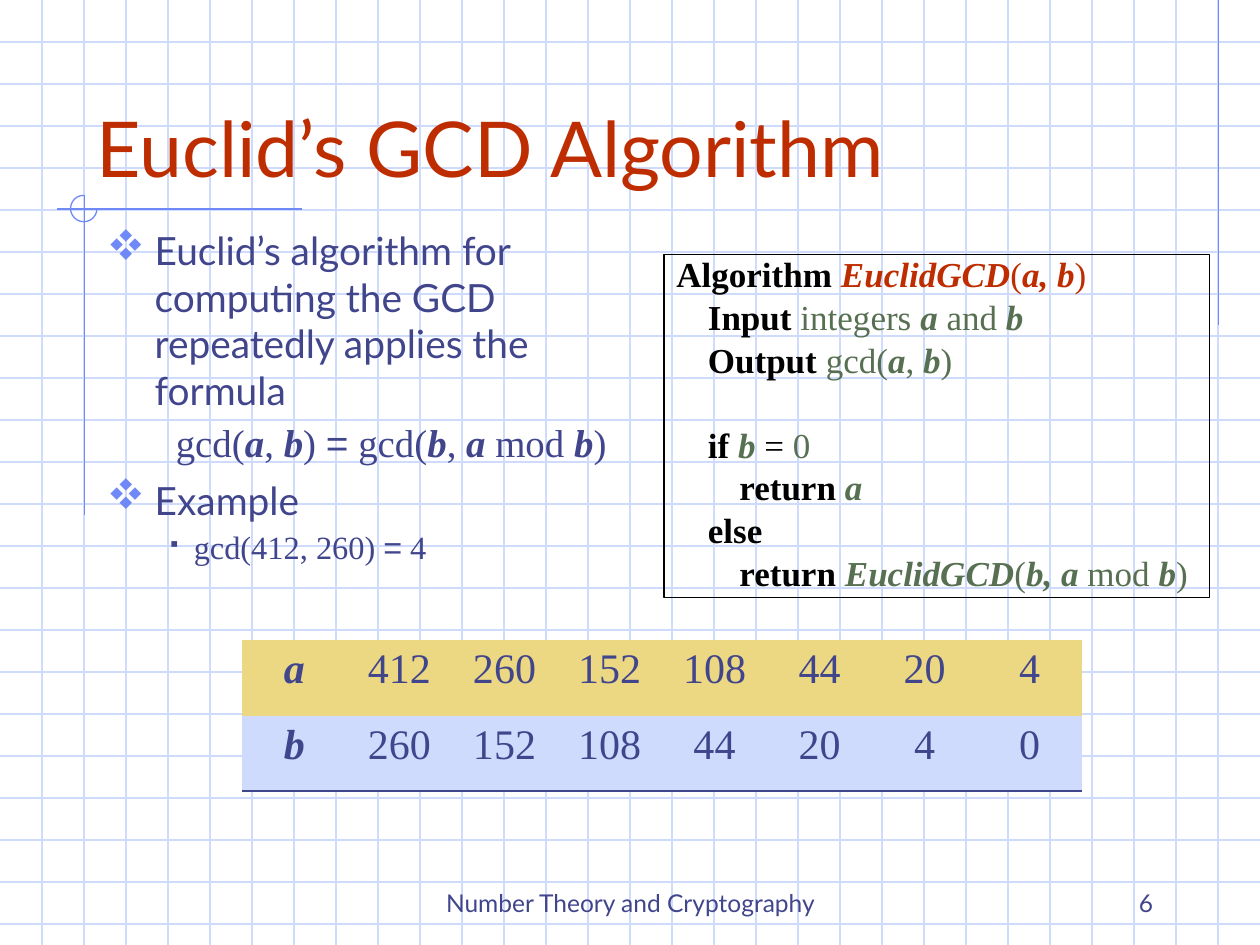
from lxml import etree
from pptx import Presentation
from pptx.dml.color import RGBColor
from pptx.enum import shapes, text
from pptx.oxml import ns
from pptx.util import Inches, Pt

RED = RGBColor(0xBE, 0x2D, 0x00)
NAVY = RGBColor(0x40, 0x45, 0x8C)
BLUE = RGBColor(0x6F, 0x89, 0xF7)
PALE = RGBColor(0xCF, 0xDB, 0xFD)
GOLD = RGBColor(0xEC, 0xD8, 0x82)
GREEN = RGBColor(0x57, 0x70, 0x52)
BLACK = RGBColor(0x00, 0x00, 0x00)

SANS, SERIF, SYMBOLS = "Lato", "Times New Roman", "Wingdings"
DIAMOND, SQUARE = "v", "§"
WIDTH, HEIGHT, GRID = 10, 7.5, 1 / 3
NO_TABLE_STYLE = "{2D5ABB26-0587-4C30-8999-92F81FD0307C}"

KEYWORD = dict(color=BLACK, bold=True)
OPERATOR = dict(color=BLACK)
NAME = dict(color=RED)
CODE = dict(color=GREEN)
EQUALS = dict(font="Arial")

ALGORITHM = [
    (0, [("Algorithm ", KEYWORD), ("*EuclidGCD*(*a, b*)", NAME)]),
    (1, [("Input ", KEYWORD), ("integers *a* and *b*", CODE)]),
    (1, [("Output ", KEYWORD), ("gcd(*a*, *b*)", CODE)]),
    (1, [("if ", KEYWORD), ("*b* ", CODE), ("= ", OPERATOR), ("0", CODE)]),
    (2, [("return ", KEYWORD), ("*a*", CODE)]),
    (1, [("else", KEYWORD)]),
    (2, [("return ", KEYWORD), ("*EuclidGCD*(*b, a *mod *b*)", CODE)]),
]
STEPS = [
    ["*a*", "412", "260", "152", "108", "44", "20", "4"],
    ["*b*", "260", "152", "108", "44", "20", "4", "0"],
]


def add_child(parent, tag, **attributes):
    child = etree.SubElement(parent, ns.qn(tag))
    for name, value in attributes.items():
        child.set(name, str(value))
    return child


def add_text(para, markup, font=SERIF, size=20, color=NAVY, bold=False):
    for index, part in enumerate(markup.split("*")):
        if part:
            span = para.add_run()
            span.text = part
            variable = index % 2 == 1
            span.font.name, span.font.size = font, Pt(size)
            span.font.color.rgb = color
            span.font.bold, span.font.italic = bold or variable, variable


def format_para(para, margin=0, hanging=0, before=0, spacing=None, align=None, level=0):
    para.level = level
    para.alignment = align
    para.space_before = Pt(before)
    if spacing:
        para.line_spacing = spacing
    properties = para._p.get_or_add_pPr()
    properties.set("marL", str(Inches(margin)))
    properties.set("indent", str(Inches(-hanging)))


def add_bullet(para, char, color, percent):
    properties = para._p.get_or_add_pPr()
    add_child(add_child(properties, "a:buClr"), "a:srgbClr", val=color)
    add_child(properties, "a:buSzPct", val=percent * 1000)
    add_child(properties, "a:buFont", typeface=SYMBOLS, charset=2)
    add_child(properties, "a:buChar", char=char)


def add_box(page, left, top, width, height, anchor=text.MSO_ANCHOR.TOP):
    box = page.shapes.add_textbox(*map(Inches, (left, top, width, height)))
    box.text_frame.word_wrap = True
    box.text_frame.vertical_anchor = anchor
    return box


def add_label(page, place, words, size, color=NAVY, align=None):
    box = add_box(page, *place, anchor=text.MSO_ANCHOR.BOTTOM)
    para = box.text_frame.paragraphs[0]
    para.alignment = align
    add_text(para, words, font=SANS, size=size, color=color)


def add_line(page, x1, y1, x2, y2, color):
    line = page.shapes.add_connector(
        shapes.MSO_CONNECTOR.STRAIGHT, *map(Inches, (x1, y1, x2, y2)))
    line.line.color.rgb, line.line.width = color, Pt(0.75)
    add_child(line._element.spPr, "a:effectLst")


def add_background(page):
    for row in range(1, 23):
        add_line(page, 0, row * GRID, WIDTH, row * GRID, PALE)
    for column in range(1, 30):
        add_line(page, column * GRID, 0, column * GRID, HEIGHT, PALE)
    add_line(page, 9.67, 0, 9.67, 2.58, BLUE)
    add_line(page, 2.4, 1.66, 0.45, 1.66, BLUE)
    add_line(page, 0.67, 1.55, 0.67, 4.09, BLUE)
    arc = page.shapes.add_shape(
        shapes.MSO_SHAPE.ARC, *map(Inches, (0.56, 1.55, 0.21, 0.21)))
    arc.shadow.inherit = False
    arc.adjustments[0], arc.adjustments[1] = 0, 162
    arc.fill.background()
    arc.line.color.rgb, arc.line.width = BLUE, Pt(0.75)


def add_body(page):
    frame = add_box(page, 0.75, 1.75, 4.33, 3.25).text_frame
    intro = frame.paragraphs[0]
    formula, example, result = (frame.add_paragraph() for _ in range(3))
    points = [
        (intro, 0, "Euclid’s algorithm for computing the GCD repeatedly applies the formula"),
        (example, 6, "Example"),
    ]
    for para, before, words in points:
        format_para(para, margin=0.38, hanging=0.38, before=before)
        add_bullet(para, DIAMOND, BLUE, 110)
        add_text(para, words, font=SANS, size=22.2)
    format_para(formula, margin=0.38, before=6, spacing=0.9, align=text.PP_ALIGN.CENTER)
    format_para(result, margin=0.69, hanging=0.19, before=5, spacing=0.9, level=1)
    add_bullet(result, SQUARE, NAVY, 60)
    equations = [
        (formula, 22.2, "gcd(*a*, *b*) ", " gcd(*b*, *a* mod *b*)"),
        (result, 18.5, "gcd(412, 260) ", " 4"),
    ]
    for para, size, left, right in equations:
        add_text(para, left, size=size)
        add_text(para, "=", size=size, **EQUALS)
        add_text(para, right, size=size)


def add_algorithm(page):
    box = add_box(page, 5.27, 2.02, 4.33, 2.72)
    box.line.color.rgb, box.line.width = BLACK, Pt(0.75)
    frame = box.text_frame
    for index, (depth, spans) in enumerate(ALGORITHM):
        para = frame.add_paragraph() if index else frame.paragraphs[0]
        starts_body = spans[0][0] == "if "
        before = 29.4 if starts_body else 5.2 if index else 0
        format_para(para, margin=depth * 0.25, before=before, spacing=0.8)
        for markup, style in spans:
            add_text(para, markup, **style)


def add_steps(page):
    frame = page.shapes.add_table(
        2, 8, *map(Inches, (1.92, 5.08, 6.67, 1.2)))
    table = frame.table
    table.first_row = table.horz_banding = False
    table._tbl.tblPr.find(ns.qn("a:tableStyleId")).text = NO_TABLE_STYLE
    for row, (values, fill) in enumerate(zip(STEPS, (GOLD, PALE))):
        for column, value in enumerate(values):
            cell = table.cell(row, column)
            para = cell.text_frame.paragraphs[0]
            para.alignment = text.PP_ALIGN.CENTER
            add_text(para, value, size=24)
            if row == 1:
                border = add_child(cell._tc.get_or_add_tcPr(), "a:lnB", w=Pt(1.08))
                add_child(add_child(border, "a:solidFill"), "a:srgbClr", val=NAVY)
            cell.fill.solid()
            cell.fill.fore_color.rgb = fill


def main():
    deck = Presentation()
    deck.slide_width, deck.slide_height = Inches(WIDTH), Inches(HEIGHT)
    page = deck.slides.add_slide(deck.slide_layouts[6])
    add_background(page)
    add_label(page, (0.67, 0.33, 8.5, 1.25), "Euclid’s GCD Algorithm", 44, RED)
    add_body(page)
    add_steps(page)
    add_algorithm(page)
    add_label(page, (3.42, 6.83, 3.17, 0.5), "Number Theory and Cryptography", 14,
              align=text.PP_ALIGN.CENTER)
    add_label(page, (7.17, 6.83, 2.08, 0.5), "6", 14, align=text.PP_ALIGN.RIGHT)
    deck.save("out.pptx")


if __name__ == "__main__":
    main()
